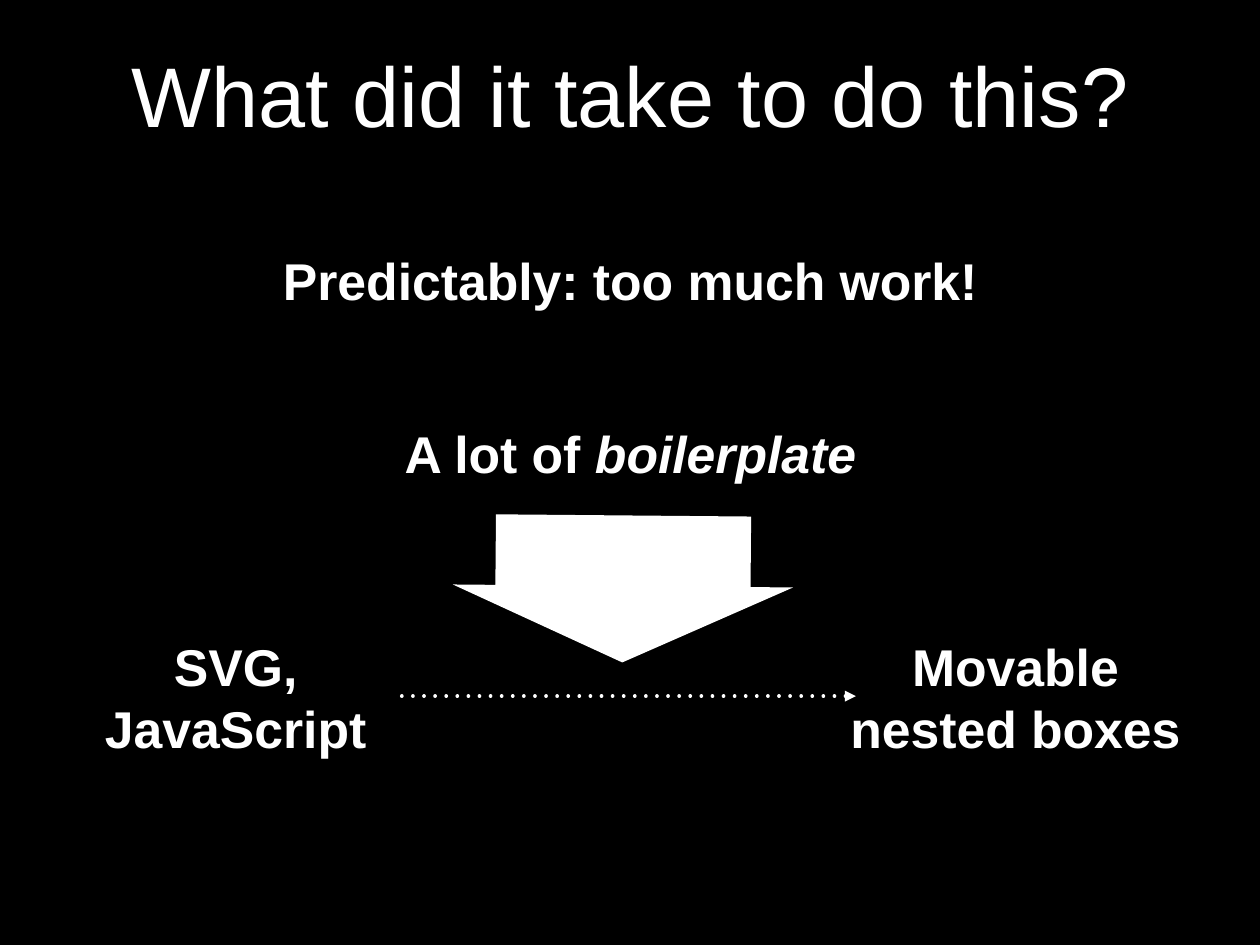
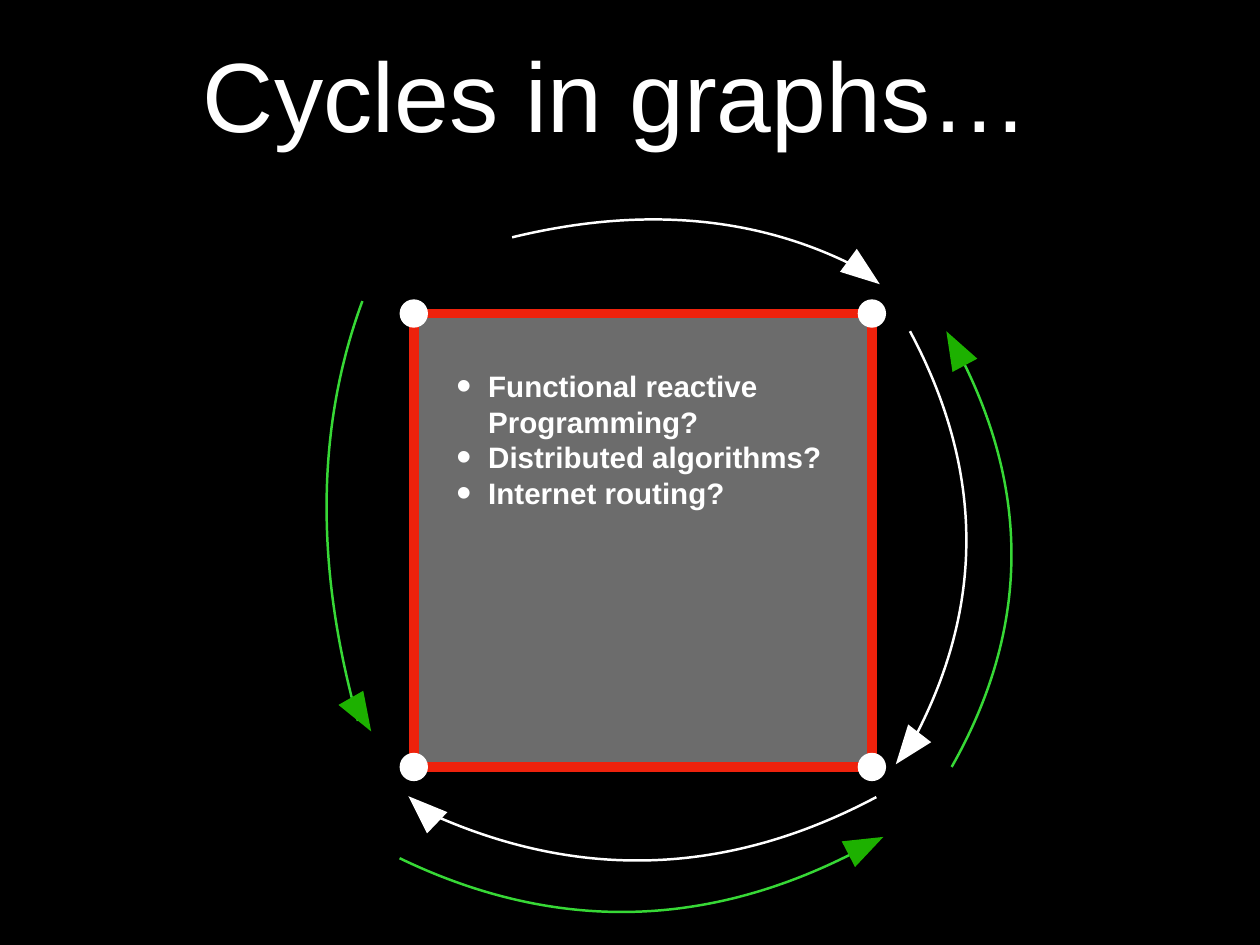
"""Build two dark slides: the boilerplate arrow and the cycles in graphs."""
from itertools import product

from lxml.etree import SubElement
from pptx import Presentation
from pptx.dml.color import RGBColor as Rgb
from pptx.enum.shapes import MSO_CONNECTOR as Connector, MSO_SHAPE as Preset
from pptx.enum.text import MSO_ANCHOR as Anchor, MSO_AUTO_SIZE as AutoSize, PP_ALIGN as Align
from pptx.oxml.ns import qn
from pptx.util import Pt

PX = 9144


class Theme:
    font = "Arial"
    black = Rgb(0x00, 0x00, 0x00)
    white = Rgb(0xFF, 0xFF, 0xFF)
    gray = Rgb(0x6C, 0x6C, 0x6C)
    red = Rgb(0xEE, 0x22, 0x0C)
    green = Rgb(0x37, 0xD8, 0x36)
    dark_green = Rgb(0x1D, 0xB1, 0x00)
    question_title = 68.8
    cycles_title = 80
    statement = 42
    bullet = 24


def place_text(shape, box, anchor=Anchor.MIDDLE):
    shape.left, shape.top, shape.width, shape.height = [length * PX for length in box]
    frame = shape.text_frame
    frame.word_wrap = True
    frame.auto_size = AutoSize.NONE
    frame.vertical_anchor = anchor
    frame.margin_left = frame.margin_right = frame.margin_top = frame.margin_bottom = 6 * PX
    return frame


def add_span(para, text, size, bold=True, italic=False):
    span = para.add_run()
    span.text = text
    span.font.name = Theme.font
    span.font.size = Pt(size)
    span.font.bold = bold
    span.font.italic = italic
    span.font.color.rgb = Theme.white


deck = Presentation()
deck.slide_width, deck.slide_height = 1422 * PX, 1067 * PX
background = deck.slide_master.background.fill
background.solid()
background.fore_color.rgb = Theme.black

pages = []
for layout, title, size, height in [
    (5, "What did it take to do this?", Theme.question_title, 156),
    (1, "Cycles in graphs… ", Theme.cycles_title, 155),
]:
    page = deck.slides.add_slide(deck.slide_layouts[layout])
    para = place_text(page.shapes.title, (104, 28, 1214, height)).paragraphs[0]
    para.alignment = Align.CENTER
    add_span(para, title, size, bold=False)
    pages.append(page)
work_page, cycle_page = pages

for box, spans in [
    ((264, 276, 895, 80), [("Predictably: too much work!", False)]),
    ((264, 471, 895, 80), [("A lot of ", False), ("boilerplate", True)]),
    ((952, 711, 388, 151), [("Movable nested boxes", False)]),
    ((72, 711, 388, 151), [("SVG, JavaScript", False)]),
]:
    para = place_text(work_page.shapes.add_textbox(0, 0, 0, 0), box).paragraphs[0]
    para.alignment = Align.CENTER
    for text, italic in spans:
        add_span(para, text, Theme.statement, italic=italic)

dotted = work_page.shapes.add_connector(Connector.STRAIGHT, 966 * PX, 786 * PX, 442 * PX, 786 * PX)
dotted.line.color.rgb = Theme.white
dotted.line.width = Pt(3)
stroke = dotted.line._get_or_add_ln()
stroke.set("cap", "rnd")
dashes = SubElement(stroke, qn("a:custDash"))
SubElement(dashes, qn("a:ds"), d="100000", sp="200000")
SubElement(stroke, qn("a:headEnd"), type="triangle")
SubElement(dotted._element.spPr, qn("a:effectLst"))

block_arrow = work_page.shapes.add_shape(Preset.RIGHT_ARROW, 620 * PX, 473 * PX, 166 * PX, 384 * PX)
block_arrow.rotation = 90.5
block_arrow.adjustments[0], block_arrow.adjustments[1] = 0.75, 0.52
block_arrow.shadow.inherit = False
block_arrow.fill.solid()
block_arrow.fill.fore_color.rgb = Theme.white
block_arrow.line.fill.background()

left, right, top, bottom = 467, 984, 354, 866
radius = 16
square = (Preset.RECTANGLE, 467, 351, 522, 518, Theme.gray)
dots = [
    (Preset.OVAL, x - radius, y - radius, 2 * radius, 2 * radius, Theme.white)
    for x, y in product((left, right), (top, bottom))
]
edges = [
    (left, top, right, top),
    (left, bottom, right, bottom),
    (left, bottom, left, top),
    (right, bottom, right, top),
]

for preset, x, y, width, height, color in [square, *dots]:
    shape = cycle_page.shapes.add_shape(preset, x * PX, y * PX, width * PX, height * PX)
    shape.shadow.inherit = False
    shape.fill.solid()
    shape.fill.fore_color.rgb = color
    shape.line.fill.background()
    if preset == Preset.RECTANGLE:
        for ends in edges:
            edge = cycle_page.shapes.add_connector(Connector.STRAIGHT, *[end * PX for end in ends])
            edge.line.color.rgb = Theme.red
            edge.line.width = Pt(8)
            SubElement(edge._element.spPr, qn("a:effectLst"))

white_arrow = (Theme.white, Theme.white)
green_arrow = (Theme.green, Theme.dark_green)
for (curve_color, head_color), (start, *handles, end), apex, head in [
    (white_arrow, [(578, 268), (730, 231), (864, 245), (979, 308)], (730, 248), [(993, 321), (948, 307), (967, 281)]),
    (white_arrow, [(1027, 374), (1113, 535), (1112, 693), (1023, 850)], (1091, 612), [(1011, 863), (1025, 818), (1051, 838)]),
    (white_arrow, [(989, 900), (816, 992), (643, 995), (469, 911)], (720, 971), [(461, 899), (505, 917), (482, 941)]),
    (green_arrow, [(404, 814), (355, 639), (357, 481), (409, 340)], (368, 570), [(419, 826), (382, 796), (410, 780)]),
    (green_arrow, [(971, 959), (798, 1050), (625, 1053), (451, 969)], (700, 1030), [(997, 945), (965, 979), (950, 950)]),
    (green_arrow, [(1077, 389), (1164, 550), (1163, 709), (1074, 866)], (1142, 630), [(1068, 374), (1103, 405), (1075, 420)]),
]:
    group = cycle_page.shapes.add_group_shape()
    for outline, closed in [([start, apex, end], False), (head, True)]:
        corners = [(x * PX, y * PX) for x, y in outline]
        builder = group.shapes.build_freeform(*corners[0])
        builder.add_line_segments(corners[1:], close=closed)
        shape = builder.convert_to_shape()
        shape.shadow.inherit = False
        if closed:
            shape.fill.solid()
            shape.fill.fore_color.rgb = head_color
            shape.line.fill.background()
        else:
            shape.fill.background()
            shape.line.color.rgb = curve_color
            shape.line.width = Pt(2)
            outline_path = next(shape.element.iter(qn("a:path")))
            for segment in outline_path.findall(qn("a:lnTo")):
                outline_path.remove(segment)
            bend = SubElement(outline_path, qn("a:cubicBezTo"))
            for x, y in [*handles, end]:
                SubElement(bend, qn("a:pt"), x=str(x * PX - shape.left), y=str(y * PX - shape.top))

body = cycle_page.placeholders[1]
cycle_page.shapes.element.append(body.element)
frame = place_text(body, (509, 410, 484, 171), Anchor.TOP)
for index, text in enumerate(["Functional reactive Programming?", "Distributed algorithms?", "Internet routing?"]):
    para = frame.add_paragraph() if index else frame.paragraphs[0]
    para.space_before = Pt(0)
    properties = para._p.get_or_add_pPr()
    properties.set("marL", str(36 * PX))
    properties.set("indent", str(-36 * PX))
    SubElement(properties, qn("a:buSzPct"), val="145000")
    SubElement(properties, qn("a:buChar"), char="•")
    add_span(para, text, Theme.bullet)

deck.save("out.pptx")
